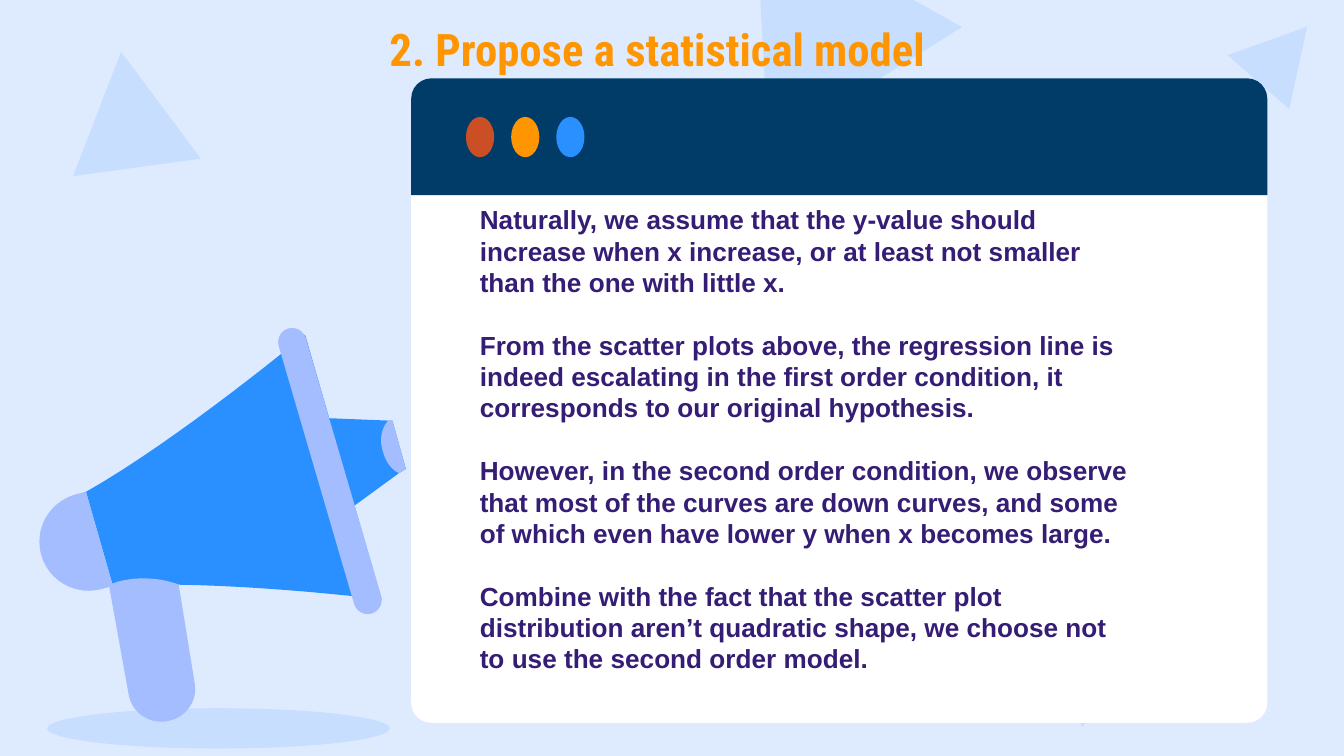
from lxml import etree
from pptx import Presentation
from pptx import util as u
from pptx.dml.color import RGBColor
from pptx.enum import shapes, text
from pptx.oxml.ns import qn

THEME = {
    "sky": "DEEBFF", "pale": "C8DEFF", "lilac": "A3BDFF", "blue": "2A90FF",
    "navy": "003C67", "white": "FFFFFF", "orange": "FF9500", "rust": "CA4F24",
    "title": {"name": "Roboto Condensed", "size": u.Pt(24), "bold": True},
    "body": {"name": "Arial", "size": u.Pt(14), "bold": True},
    "body_color": "351C75", "line": u.Pt(16.8),
}
SHAPE = shapes.MSO_SHAPE

prs = Presentation()
prs.slide_width = u.Inches(10)
prs.slide_height = prs.slide_width * 9 // 16
UNIT = prs.slide_width // 100  # square grid, 100 columns wide
s = prs.slides.add_slide(prs.slide_layouts[1])
s.background.fill.solid()
s.background.fill.fore_color.rgb = RGBColor.from_string(THEME["sky"])


def add_preset(kind, box, color, rot=0, adj=()):
    sp = s.shapes.add_shape(kind, *(round(v * UNIT) for v in box))
    sp.rotation = rot
    for i, value in enumerate(adj):
        sp.adjustments[i] = value
    sp.shadow.inherit = False
    sp.fill.solid()
    sp.fill.fore_color.rgb = RGBColor.from_string(THEME[color])
    sp.line.fill.background()


def add_outline(start, steps, color, n=16):
    """Steps of two numbers are lines, steps of six are Bezier curves."""
    pts = [start]
    for step in steps:
        if len(step) == 2:
            pts.append(step)
            continue
        ctrl = [pts[-1], step[:2], step[2:4], step[4:]]
        for t in (i / n for i in range(1, n + 1)):
            w = ((1 - t) ** 3, 3 * t * (1 - t) ** 2, 3 * t * t * (1 - t), t ** 3)
            pts.append(tuple(sum(k * c[a] for k, c in zip(w, ctrl)) for a in (0, 1)))
    pts = [(round(x * UNIT), round(y * UNIT)) for x, y in pts]
    fb = s.shapes.build_freeform(*pts[0])
    fb.add_line_segments(pts[1:], close=True)
    sp = fb.convert_to_shape()
    sp.shadow.inherit = False
    sp.fill.solid()
    sp.fill.fore_color.rgb = RGBColor.from_string(THEME[color])
    sp.line.fill.background()


# Background triangles
for box, rot in [((51.8, -7.7, 17, 15.4), 327.9), ((4.8, 3.8, 9.6, 8.7), 352.2),
                 ((92.4, 1.3, 6.1, 5.5), 41.2), ((75.4, 41.8, 10.9, 9.9), 315)]:
    add_preset(SHAPE.ISOSCELES_TRIANGLE, box, "pale", rot)

# Browser window
left, width, top, bar, pane = 30.6, 63.7, 5.83, 8.7, 39.25
corner = 1.5
add_preset(SHAPE.ROUND_2_SAME_RECTANGLE, (left, top + bar, width, pane), "white",
           adj=(0, corner / pane))
add_preset(SHAPE.ROUND_2_SAME_RECTANGLE, (left, top, width, bar), "navy",
           adj=(corner / bar, 0))
for i, color in enumerate(("rust", "orange", "blue")):
    add_preset(SHAPE.OVAL, (34.67 + i * 3.36, 8.7, 2.1, 3), color)

# Megaphone: shadow, mouthpiece, horn, rim, back cap, handle
add_preset(SHAPE.OVAL, (3.5, 52.7, 25.5, 3), "pale")
add_outline((24, 31.1), [(26, 37.9), (29.7, 35.2), (30.2, 34.9), (29.2, 31.3),
                         (28.9, 31.3)], "blue")
add_outline((28.9, 31.3), [(28.4, 31.8, 28.2, 32.7, 28.5, 33.6),
                           (28.7, 34.4, 29.2, 35, 29.7, 35.2),
                           (30.2, 34.9), (29.2, 31.3)], "lilac")
add_outline((22.7, 24.9), [(22.7, 24.9, 13.3, 32.7, 6.4, 36.6), (8.4, 43.6),
                           (16.3, 43.1, 28.4, 44.6, 28.4, 44.6)], "blue")
add_preset(SHAPE.ROUNDED_RECTANGLE, (23.5, 24, 2.1, 22.1), "lilac", 343.7, (0.5,))
add_outline((5.6, 36.8), [(3.6, 37.4, 2.5, 39.4, 3.1, 41.4),
                          (3.7, 43.3, 5.7, 44.4, 7.7, 43.8),
                          (8.4, 43.6), (6.4, 36.6)], "lilac")
add_outline((8.7, 43.3), [(8.5, 43.4, 8.3, 43.4, 8.1, 43.5), (9.6, 51.8),
                          (9.9, 53.2, 11.4, 54, 12.7, 53.6),
                          (13.9, 53.3, 14.7, 52.1, 14.5, 50.9), (13.3, 43.5),
                          (13.3, 43.5, 11.2, 42.6, 8.7, 43.3)], "lilac")

# Body and title text, in front of the drawing
title, body = s.shapes.title, s.placeholders[1]
body_text = [
    "Naturally, we assume that the y-value should increase when x increase, "
    "or at least not smaller than the one with little x.",
    "From the scatter plots above, the regression line is indeed escalating in "
    "the first order condition, it corresponds to our original hypothesis.",
    "However, in the second order condition, we observe that most of the curves "
    "are down curves, and some of which even have lower y when x becomes large.",
    "Combine with the fact that the scatter plot distribution aren’t quadratic "
    "shape, we choose not to use the second order model.",
]
for sp, box, lines, font, color, align, indent in [
    (body, (34.7, 14.14, 50.8, 39.7), body_text, "body", THEME["body_color"],
     text.PP_ALIGN.LEFT, 0),
    (title, (4.2, 0.6, 84.4, 6.2), ["2. Propose a statistical model"], "title",
     THEME["orange"], text.PP_ALIGN.CENTER, 5),
]:
    sp.left, sp.top, sp.width, sp.height = (round(v * UNIT) for v in box)
    sp.element.getparent().append(sp.element)
    tf = sp.text_frame
    frame = dict.fromkeys(("margin_left", "margin_top", "margin_right",
                           "margin_bottom"), UNIT)
    frame.update(word_wrap=True, auto_size=text.MSO_AUTO_SIZE.NONE,
                 vertical_anchor=text.MSO_ANCHOR.TOP)
    for key, value in frame.items():
        setattr(tf, key, value)
    for i, line in enumerate(lines):
        p = tf.paragraphs[0] if i == 0 else tf.add_paragraph()
        pPr = p._p.get_or_add_pPr()
        pPr.set("marL", str(indent * UNIT))
        pPr.set("indent", "0")
        etree.SubElement(pPr, qn("a:buNone"))
        p.alignment = align
        p.space_before = THEME["line"] if i else u.Pt(0)
        if sp is body:
            p.line_spacing = THEME["line"]
        r = p.add_run()
        r.text = line
        for key, value in THEME[font].items():
            setattr(r.font, key, value)
        r.font.color.rgb = RGBColor.from_string(color)

prs.save("out.pptx")
